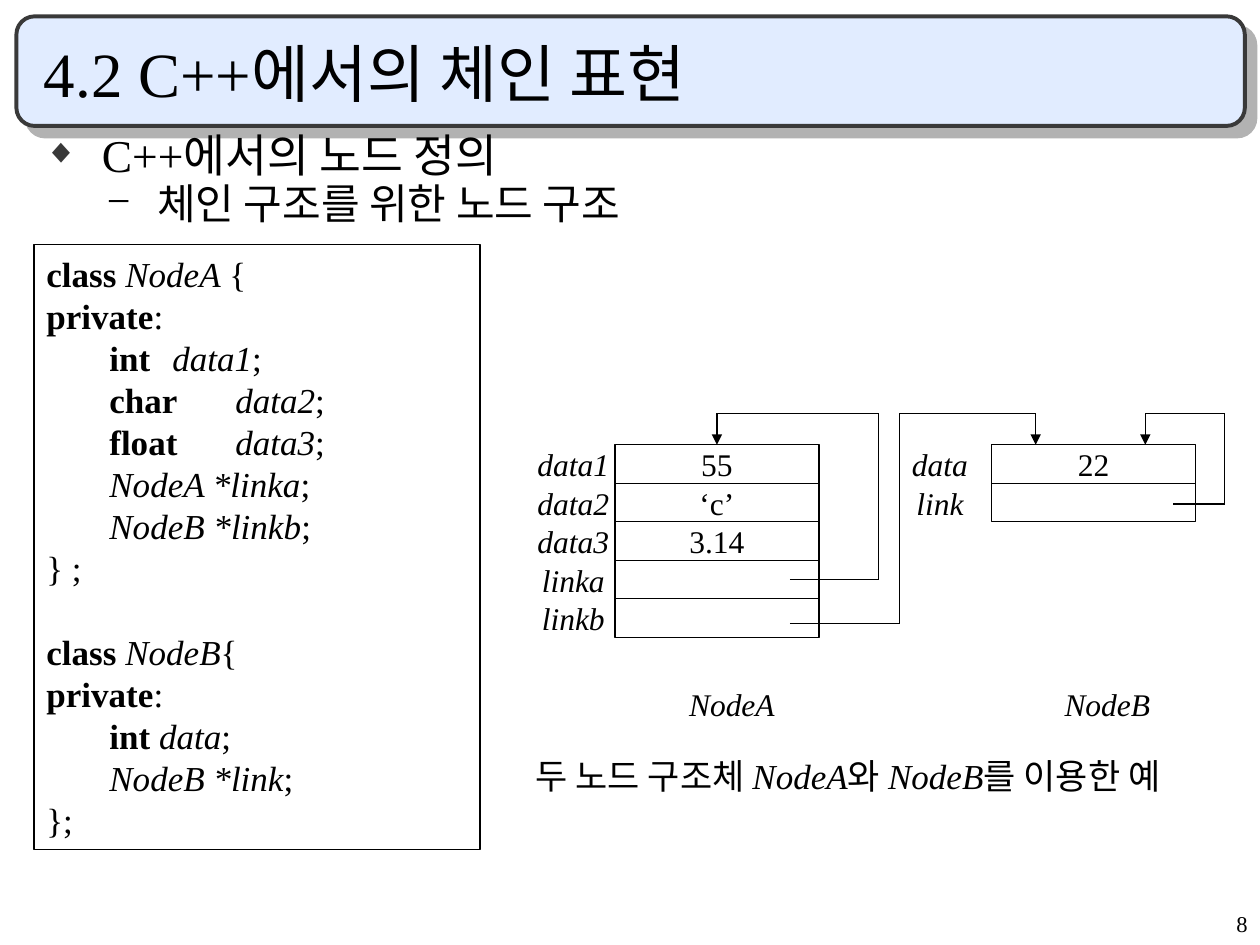
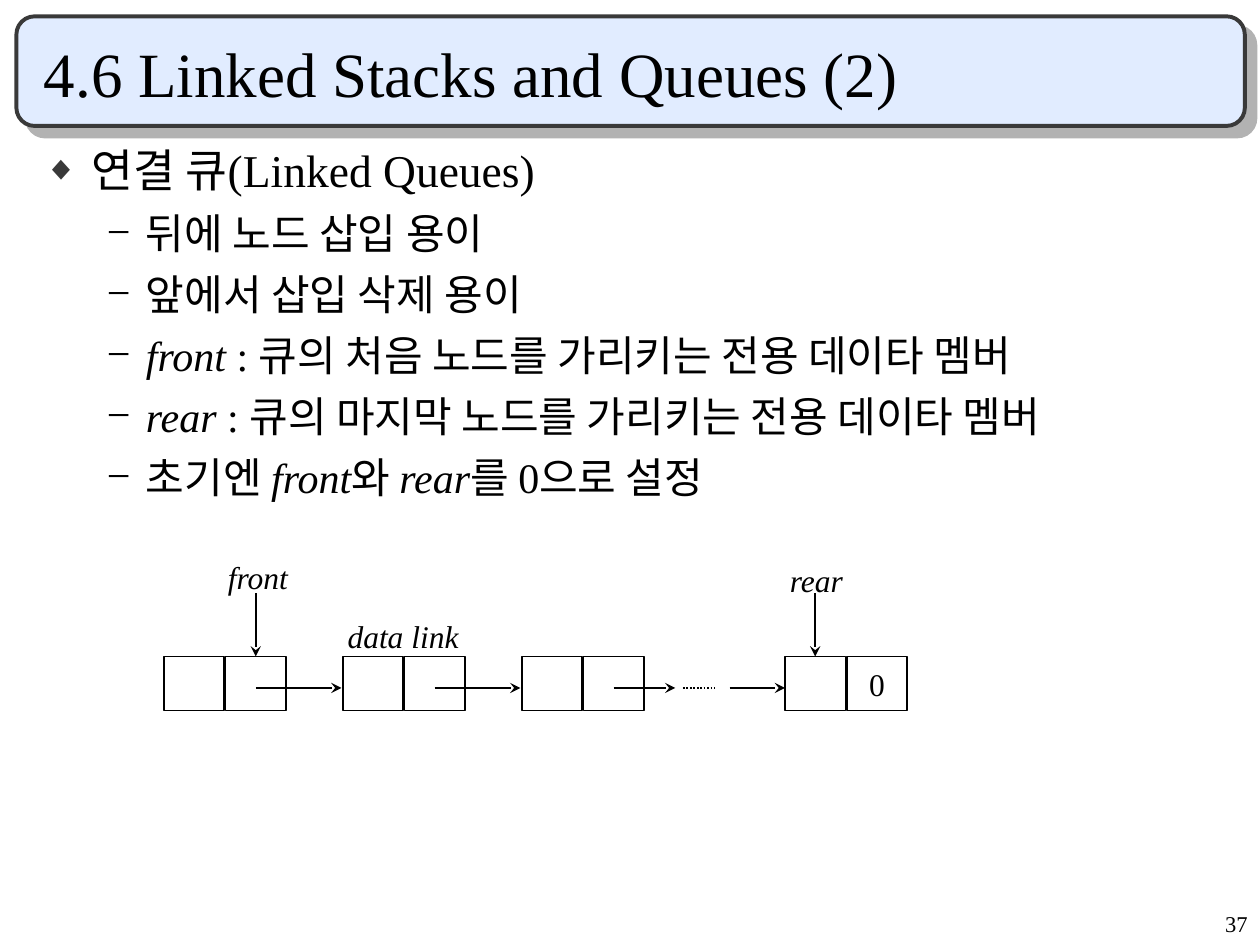
from lxml import etree
from pptx import Presentation
from pptx.dml.color import RGBColor
from pptx.enum.dml import MSO_LINE
from pptx.enum.shapes import MSO_CONNECTOR, MSO_SHAPE
from pptx.enum.text import MSO_ANCHOR, PP_ALIGN
from pptx.oxml.ns import qn
from pptx.util import Pt

RECT, ROUND = MSO_SHAPE.RECTANGLE, MSO_SHAPE.ROUNDED_RECTANGLE
STRAIGHT, DOTS = MSO_CONNECTOR.STRAIGHT, MSO_LINE.ROUND_DOT
TOP, MIDDLE, BOTTOM = MSO_ANCHOR.TOP, MSO_ANCHOR.MIDDLE, MSO_ANCHOR.BOTTOM
LEFT, CENTER, RIGHT = PP_ALIGN.LEFT, PP_ALIGN.CENTER, PP_ALIGN.RIGHT
SCALE = 9144
FONT = "Times New Roman"
COLORS = {"ink": "000000", "band": "E1ECFF", "edge": "393939",
          "shade": "B2B2B2", "paper": "FFFFFF"}
BULLETS = [("◆", "edge", 75, 26, 6.5), ("−", "ink", 100, 24, 6)]


def emu(px):
    return px * SCALE


def color(name):
    return RGBColor.from_string(COLORS[name])


def child(node, tag, **attrs):
    return etree.SubElement(node, qn(tag), attrs)


class Deck:
    def __init__(self):
        self.prs = Presentation()
        self.prs.slide_width, self.prs.slide_height = emu(1000), emu(750)
        self.slide = None

    def page(self, title, number):
        self.slide = self.prs.slides.add_slide(self.prs.slide_layouts[6])
        band = self.box(13, 13, 975, 87, ROUND, "band", "edge", 2.25)
        effects = band._element.spPr.find(qn("a:effectLst"))
        shade = child(effects, "a:outerShdw", dist=str(Pt(8.5)),
                      dir="2700000", algn="ctr", rotWithShape="0")
        child(shade, "a:srgbClr", val=COLORS["shade"])
        self.text(25, 25, 942, 67, [title], 36, anchor=BOTTOM)
        self.text(792, 717, 208, 33, [number], 12.9, align=RIGHT)

    def box(self, x, y, w, h, kind=RECT, fill=None, line="ink", width=0.75):
        shape = self.slide.shapes.add_shape(kind, *map(emu, (x, y, w, h)))
        shape.shadow.inherit = False
        if fill:
            shape.fill.solid()
            shape.fill.fore_color.rgb = color(fill)
        else:
            shape.fill.background()
        shape.line.color.rgb = color(line)
        shape.line.width = Pt(width)
        return shape

    def put(self, para, runs, size, align=LEFT, style=""):
        if isinstance(runs, str):
            runs = [(runs, style)]
        para.alignment = align
        font = para.font
        font.name, font.size = FONT, Pt(size)
        font.color.rgb = color("ink")
        agree = len({mark for _, mark in runs}) == 1
        for words, mark in runs:
            run = para.add_run()
            run.text = words
            target = font if agree else run.font
            if mark:
                target.bold, target.italic = mark == "b", mark == "i"

    def fill(self, shape, paras, size, align=LEFT, anchor=TOP, wrap=True,
             style=""):
        frame = shape.text_frame
        frame.word_wrap, frame.vertical_anchor = wrap, anchor
        for i, runs in enumerate(paras):
            para = frame.add_paragraph() if i else frame.paragraphs[0]
            self.put(para, runs, size, align, style)
        return frame

    def text(self, x, y, w, h, paras, size, **opts):
        shape = self.slide.shapes.add_textbox(*map(emu, (x, y, w, h)))
        return self.fill(shape, paras, size, **opts)

    def label(self, x, y, w, words):
        self.text(x, y, w, 40, [words], 18, wrap=False, style="i")

    def cell(self, x, y, w, h, words="", fill=None, width=0.75):
        shape = self.box(x, y, w, h, RECT, fill, "ink", width)
        if words:
            self.fill(shape, [words], 18, align=CENTER, anchor=MIDDLE)
        return shape

    def bullets(self, h, head, items, indents, space=None):
        shape = self.slide.shapes.add_textbox(*map(emu, (25, 108, 942, h)))
        frame = shape.text_frame
        frame.word_wrap = True
        for i, runs in enumerate([head] + items):
            level = min(i, 1)
            mark, tint, part, size, gap = BULLETS[level]
            margin, indent = indents[level]
            para = frame.add_paragraph() if i else frame.paragraphs[0]
            para.level = level
            props = para._p.get_or_add_pPr()
            props.set("marL", str(emu(margin)))
            props.set("indent", str(emu(-indent)))
            child(child(props, "a:buClr"), "a:srgbClr", val=COLORS[tint])
            child(props, "a:buSzPct", val=str(part * 1000))
            child(props, "a:buFont", typeface=FONT)
            child(props, "a:buChar", char=mark)
            para.space_before = Pt(gap if i else 0)
            if space:
                para.line_spacing = space
            self.put(para, runs, size)

    def line(self, start, end, width=0.75, head=None, dash=None, goal=None):
        link = self.slide.shapes.add_connector(
            STRAIGHT, *map(emu, start + end))
        link.line.color.rgb = color("ink")
        link.line.width = Pt(width)
        if dash:
            link.line.dash_style = dash
        props = link._element.spPr
        if head:
            child(props.find(qn("a:ln")), "a:tailEnd", type=head)
        child(props, "a:effectLst")
        if goal:
            link.end_connect(goal, 0)

    def route(self, points, goal=None):
        last = len(points) - 2
        for i, (start, end) in enumerate(zip(points, points[1:])):
            final = i == last
            self.line(start, end, head="triangle" if final else None,
                      goal=goal if final else None)

    def record(self, x, side, fields):
        cells = []
        for i, (name, value) in enumerate(fields):
            y, below = [(707 + 61 * n) // 2 for n in (i, i + 1)]
            cells.append(self.cell(x, y, 162, below - y, value, "paper"))
            self.text(side, y, 98, below - y, [name], 18,
                      align=CENTER, anchor=MIDDLE, style="i")
        return cells


def member(kind, name, gap="\t"):
    return [("\t" + kind + gap, "b"), (name, "i"), (";", "")]


def pointer(words):
    return [("\t" + words, "i"), (";", "")]


def opening(name, brace):
    return [("class ", "b"), (name, "i"), (brace, "")]


def chain(deck):
    deck.page("4.2 C++에서의 체인 표현", "8")
    deck.bullets(79, "C++에서의 노드 정의", ["체인 구조를 위한 노드 구조"],
                 [(46, 46), (90, 40)], 0.7)
    access = [("private", "b"), (":", "")]
    code = [
        opening("NodeA", " {"), access,
        member("int", "data1"), member("char", "data2"),
        member("float", "data3"),
        pointer("NodeA *linka"), pointer("NodeB *linkb"), "} ;",
        opening("NodeB", "{"), access,
        member("int", "data", " "), pointer("NodeB *link"), "};"]
    frame = deck.fill(deck.box(27, 194, 354, 480, fill="paper"),
                      code, 20, anchor=MIDDLE)
    frame.paragraphs[8].space_before = Pt(24)

    first = deck.record(488, 406, [
        ("data1", "55"), ("data2", "‘c’"), ("data3", "3.14"),
        ("linka", ""), ("linkb", "")])
    deck.record(787, 697, [("data", "22"), ("link", "")])
    high, top = 328, 353
    deck.route([(627, 460), (697, 460), (697, high), (569, high),
                (569, top)], first[0])
    deck.route([(627, 495), (714, 495), (714, high), (822, high),
                (822, top)])
    deck.route([(931, 400), (972, 400), (972, high), (909, high),
                (909, top)])
    deck.label(537, 539, 88, "NodeA")
    deck.label(835, 539, 88, "NodeB")
    deck.text(415, 594, 545, 44, [[
        ("두 노드 구조체 ", ""), ("NodeA", "i"), ("와 ", ""),
        ("NodeB", "i"), ("를 이용한 예", "")]], 20)


def queue(deck):
    deck.page("4.6 Linked Stacks and Queues (2)", "37")
    deck.bullets(298, "연결 큐(Linked Queues)", [
        "뒤에 노드 삽입 용이",
        "앞에서 삽입 삭제 용이",
        [("front", "i"), (" : 큐의 처음 노드를 가리키는 전용 데이타 멤버", "")],
        [("rear", "i"), (" : 큐의 마지막 노드를 가리키는 전용 데이타 멤버", "")],
        [("초기엔 ", ""), ("front", "i"), ("와 ", ""), ("rear", "i"),
         ("를 0으로 설정", "")]], [(38, 38), (81, 31)])

    nodes = []
    for x, value in [(130, ""), (272, ""), (414, ""), (623, "0")]:
        nodes.append([deck.cell(x, 521, 48, 43, width=1),
                      deck.cell(x + 49, 521, 48, 43, value, width=1)])
    for x, goal in [(203, nodes[0][1]), (647, nodes[-1][0])]:
        deck.line((x, 471), (x, 521), 1, "stealth", goal=goal)
    for x, end in [(203, 271), (345, 413), (487, 536), (579, 623)]:
        deck.line((x, 546), (end, 546), 1, "stealth")
    deck.line((542, 546), (567, 546), 1, dash=DOTS)
    deck.label(266, 485, 108, "data link")
    deck.label(171, 438, 69, "front")
    deck.label(617, 440, 74, "rear")


def main():
    deck = Deck()
    chain(deck)
    queue(deck)
    deck.prs.save("out.pptx")


if __name__ == "__main__":
    main()
